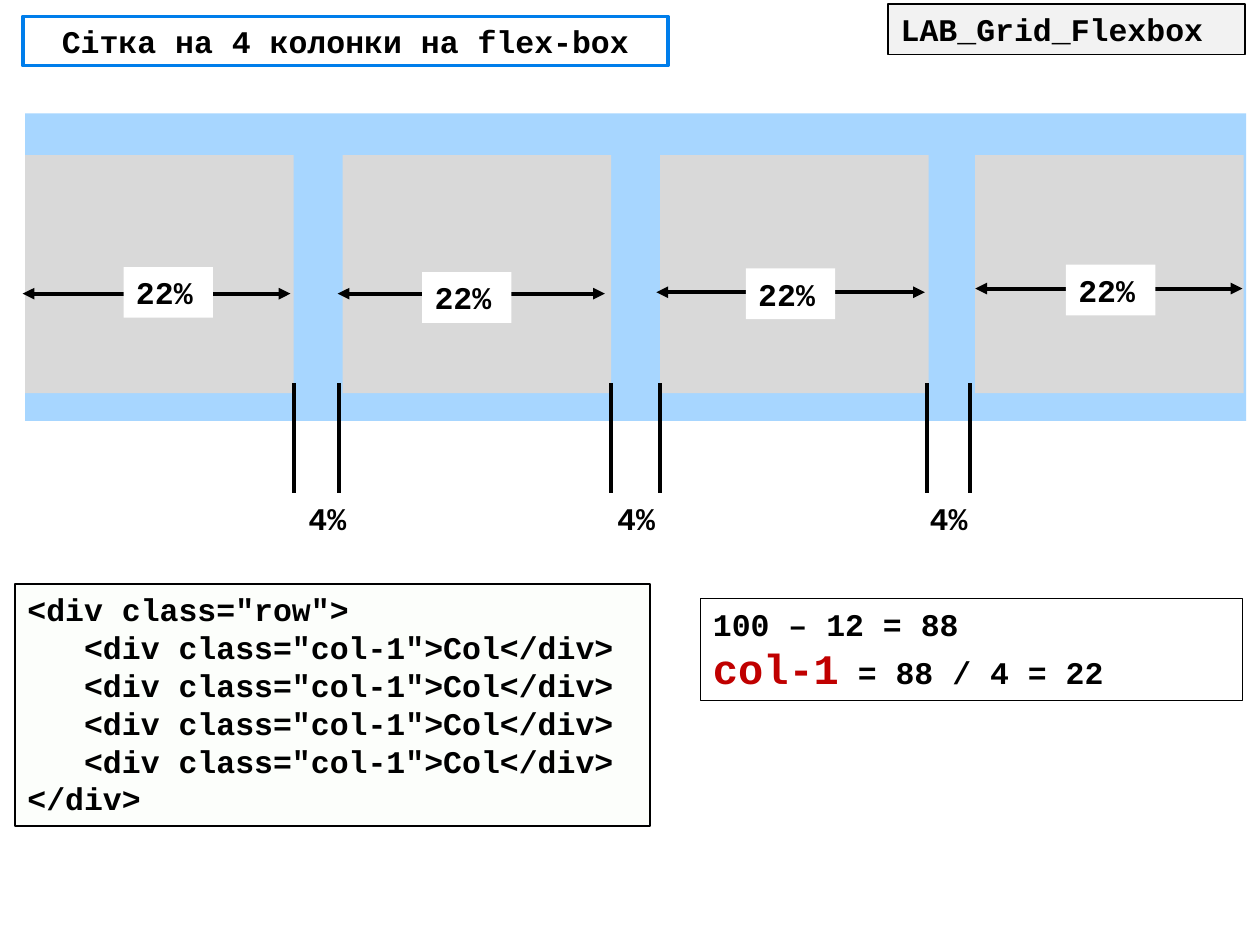
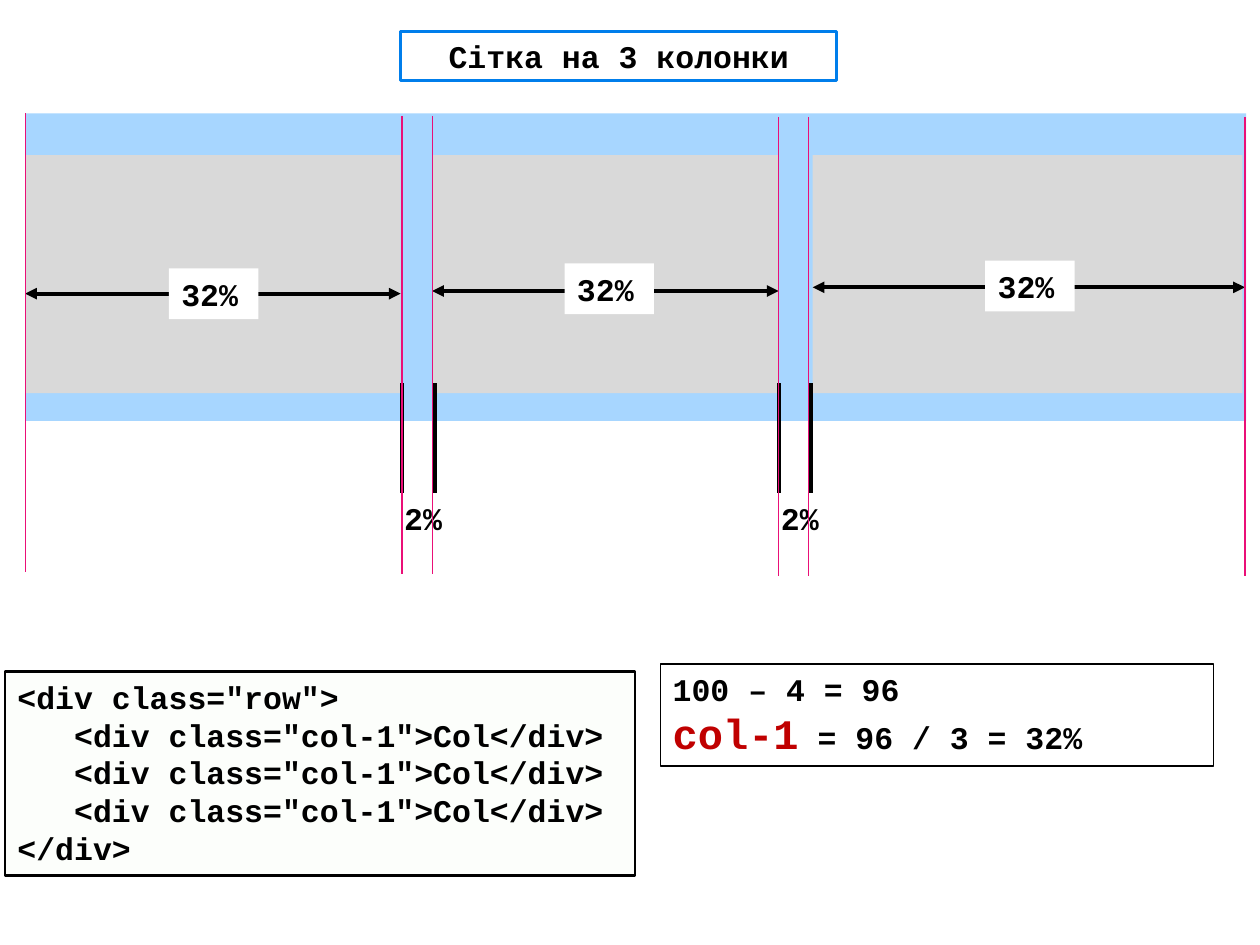
from dataclasses import dataclass

from lxml import etree
from pptx import Presentation
from pptx.dml.color import RGBColor
from pptx.enum.shapes import MSO_CONNECTOR, MSO_SHAPE
from pptx.enum.text import MSO_ANCHOR, PP_ALIGN
from pptx.oxml.ns import qn
from pptx.util import Pt

RECTANGLE = MSO_SHAPE.RECTANGLE
STRAIGHT = MSO_CONNECTOR.STRAIGHT
TOP, MIDDLE = MSO_ANCHOR.TOP, MSO_ANCHOR.MIDDLE
LEFT, CENTER = PP_ALIGN.LEFT, PP_ALIGN.CENTER


@dataclass(frozen=True)
class Theme:
    font: str = "Courier New"
    size: float = 18
    accent_size: float = 24
    ink: str = "000000"
    paper: str = "FFFFFF"
    accent: str = "C00000"
    title_line: str = "007EEB"
    row: str = "A7D6FF"
    column: str = "D9D9D9"
    tag: str = "F2F2F2"
    code: str = "E5F6D8"
    code_alpha: str = "8000"
    guide: str = "EA0F77"


theme = Theme()


def add_box(page, frame, text="", fill=None, line=None, weight=1, anchor=TOP, align=LEFT):
    lengths = [Pt(value) for value in frame]
    if fill or line:
        box = page.shapes.add_shape(RECTANGLE, *lengths)
        box.shadow.inherit = False
        if fill:
            box.fill.solid()
            box.fill.fore_color.rgb = RGBColor.from_string(fill)
        else:
            box.fill.background()
        if line:
            box.line.color.rgb = RGBColor.from_string(line)
            box.line.width = Pt(weight)
        else:
            box.line.fill.background()
    else:
        box = page.shapes.add_textbox(*lengths)
    if text:
        box.text_frame.text = text
        box.text_frame.word_wrap = bool(fill or line)
        box.text_frame.vertical_anchor = anchor
        for para in box.text_frame.paragraphs:
            para.alignment = align
            for span in para.runs:
                span.font.name = theme.font
                span.font.size = Pt(theme.size)
                span.font.bold = True
                span.font.color.rgb = RGBColor.from_string(theme.ink)
    return box


def add_line(page, start, end, color=theme.ink, weight=2.25, arrows=False):
    x1, y1, x2, y2 = [Pt(value) for value in (*start, *end)]
    line = page.shapes.add_connector(STRAIGHT, x1, y1, x2, y2)
    line.line.color.rgb = RGBColor.from_string(color)
    line.line.width = Pt(weight)
    if arrows:
        outline = line.line._get_or_add_ln()
        for side in ("a:headEnd", "a:tailEnd"):
            etree.SubElement(outline, qn(side)).set("type", "triangle")
    etree.SubElement(line._element.spPr, qn("a:effectLst"))


deck = Presentation()
deck.slide_width, deck.slide_height = Pt(720), Pt(540)

row_left, row_top, row_width, row_height = 14.4, 64.8, 697.7, 175.7
column_top, column_height = 88.6, 136.1
tick_top, tick_height = 219, 62.6
label_width, label_height = 51.1, 29
code_indent = 32.4

grids = [
    {
        "title": "Сітка на 4 колонки на flex-box",
        "title_frame": (13, 9.4, 368.6, 28.1),
        "share": "22%",
        "gap_share": "4%",
        "columns": [(left, 153.4) for left in (14.4, 195.8, 377.3, 557.3)],
        "arrows": [(13, 166, 167.8), (193, 345.6, 167.8), (375.1, 528.5, 167), (557.3, 710, 164.9)],
        "labels": [(70.6, 152.6), (241.2, 155.5), (426.2, 153.4), (609.1, 151.2)],
        "gaps": [(167.8, 193.7, 169.2), (349.2, 377.3, 345.6), (529.9, 554.4, 524.2)],
        "code_frame": (8.6, 333.8, 362.9, 138.2),
        "formula": ("100 – 12 = 88", " = 88 / 4 = 22"),
        "formula_frame": (400.3, 342, 309.6, 58.3),
        "guides": [],
    },
    {
        "title": "Сітка на 3 колонки",
        "title_frame": (229, 18, 249.1, 28.1),
        "share": "32%",
        "gap_share": "2%",
        "columns": [(14.4, 214.6), (247, 198), (464.4, 245.5)],
        "arrows": [(14.4, 229, 167.8), (247, 445, 166.3), (464.4, 711.4, 164.2)],
        "labels": [(96.5, 153.4), (322.6, 150.5), (563, 149)],
        "gaps": [(229.7, 248.4, 223.9), (445, 463.7, 439.2)],
        "code_frame": (2.9, 383.8, 360, 116.6),
        "formula": ("100 – 4 = 96", " = 96 / 3 = 32%"),
        "formula_frame": (377.3, 379.4, 316.1, 58.3),
        "guides": [(14.4, 64.8), (229.7, 66.2), (247, 66.2), (445, 67), (462.2, 67), (711.4, 67)],
    },
]

pages = []
for grid in grids:
    page = deck.slides.add_slide(deck.slide_layouts[6])
    pages.append(page)

    column_code = ['<div class="col-1">Col</div>'] * len(grid["columns"])
    code_text = "\n".join(['<div class="row">', *column_code, "</div>"])
    code = add_box(page, grid["code_frame"], code_text, theme.code, theme.ink, 1.5)
    fill_color = code._element.spPr.find(qn("a:solidFill"))[0]
    etree.SubElement(fill_color, qn("a:alpha")).set("val", theme.code_alpha)
    for para in code.text_frame.paragraphs[1:-1]:
        properties = para._p.get_or_add_pPr()
        properties.set("marL", str(Pt(code_indent)))
        properties.set("indent", "0")

    add_box(page, (row_left, row_top, row_width, row_height), fill=theme.row)
    for left, width in grid["columns"]:
        add_box(page, (left, column_top, width, column_height), fill=theme.column)

    for (start, end, height), (left, top) in zip(grid["arrows"], grid["labels"]):
        add_line(page, (start, height), (end, height), arrows=True)
        add_box(page, (left, top, label_width, label_height), grid["share"], theme.paper)

    for start, end, left in grid["gaps"]:
        for edge in (start, end):
            add_line(page, (edge, tick_top), (edge, tick_top + tick_height))
        add_box(page, (left, tick_top + tick_height, 36, label_height), grid["gap_share"])

    add_box(page, grid["title_frame"], grid["title"], theme.paper, theme.title_line, 2, MIDDLE, CENTER)

    for left, top in grid["guides"]:
        add_line(page, (left, top), (left, top + 262), theme.guide, 0.75)

    total, result = grid["formula"]
    formula = add_box(page, grid["formula_frame"], f"{total}\ncol-1", line=theme.ink, weight=0.75)
    para = formula.text_frame.paragraphs[1]
    name = para.runs[0]
    name.font.size = Pt(theme.accent_size)
    name.font.color.rgb = RGBColor.from_string(theme.accent)
    span = para.add_run()
    span.text = result
    span.font.name = theme.font
    span.font.size = Pt(theme.size)
    span.font.bold = True
    span.font.color.rgb = RGBColor.from_string(theme.ink)

add_box(pages[0], (507.6, 2.2, 203.8, label_height), "LAB_Grid_Flexbox", theme.tag, theme.ink)

deck.save("out.pptx")
